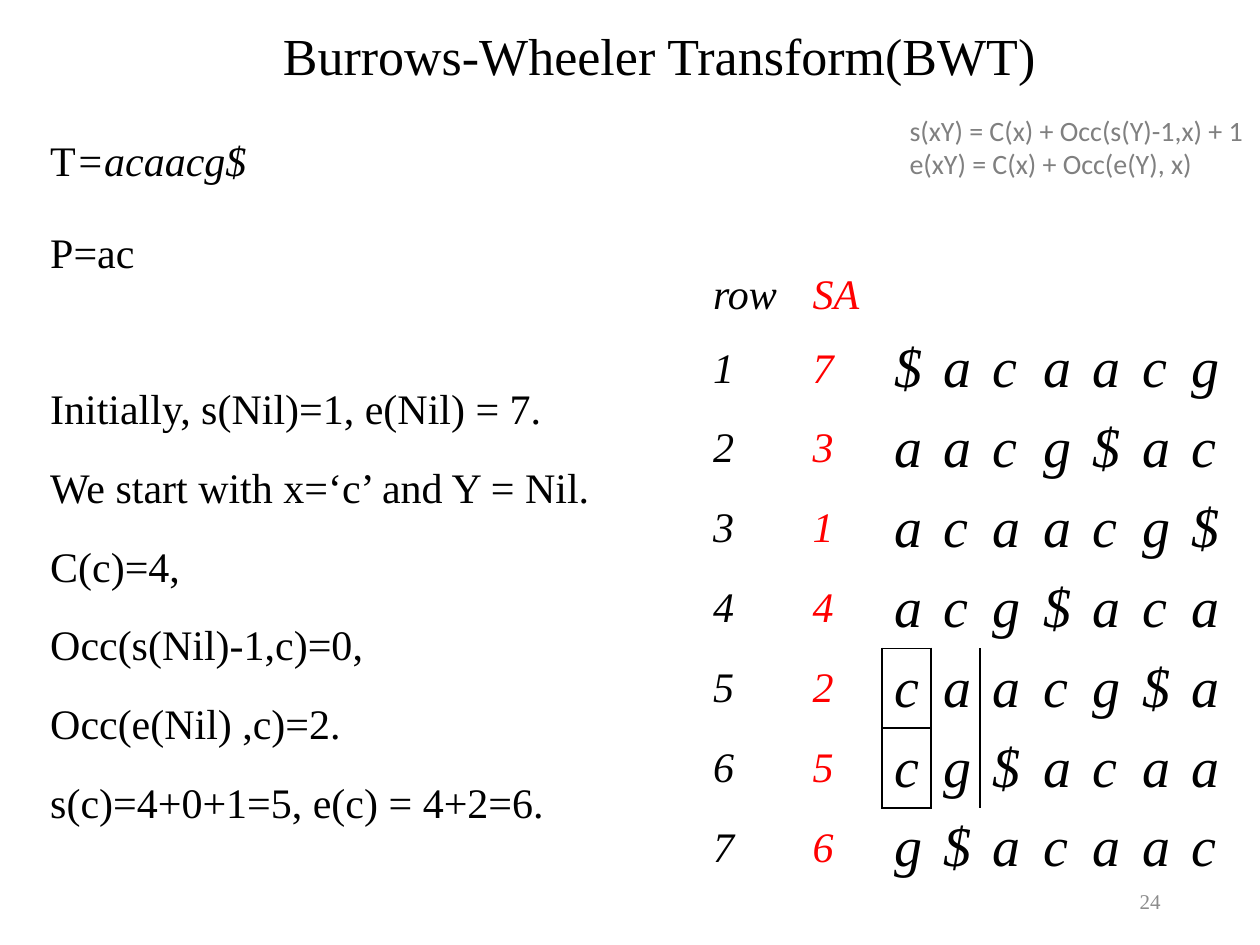
from dataclasses import dataclass

from lxml import etree
from pptx import Presentation
from pptx.dml.color import RGBColor
from pptx.enum.text import MSO_ANCHOR, MSO_AUTO_SIZE, PP_ALIGN
from pptx.oxml.ns import qn
from pptx.util import Inches, Pt

TOP, MIDDLE, BOTTOM = MSO_ANCHOR.TOP, MSO_ANCHOR.MIDDLE, MSO_ANCHOR.BOTTOM
CENTER, RIGHT = PP_ALIGN.CENTER, PP_ALIGN.RIGHT
FIT_SHAPE = MSO_AUTO_SIZE.SHAPE_TO_FIT_TEXT
PLAIN_TABLE_STYLE = "{2D5ABB26-0587-4C30-8999-92F81FD0307C}"


@dataclass(frozen=True)
class Theme:
    serif: str = "Times New Roman"
    sans: str = "Calibri"
    ink: str = "000000"
    suffix: str = "FF0000"
    formula: str = "808080"
    muted: str = "8C8C8C"
    title_size: float = 29.7
    body_size: float = 24
    letter_size: float = 32
    formula_size: float = 16
    number_size: float = 12


THEME = Theme()

# Suffix array value and rotation for each row of the sorted matrix
ROTATIONS = [
    (7, "$acaacg"), (3, "aacg$ac"), (1, "acaacg$"), (4, "acg$aca"),
    (2, "caacg$a"), (5, "cg$acaa"), (6, "g$acaac"),
]
MATCH_ROWS = (5, 6)
MATCH_COLUMN = 2

# Text, line spacing and space before in points
STEPS = [
    ("P=ac", 0.9, 27),
    ("Initially, s(Nil)=1, e(Nil) = 7.", 1.5, 45.4),
    ("We start with x=‘c’ and Y = Nil.", 1.5, 1.8),
    ("C(c)=4,", 1.5, 1.8),
    ("Occ(s(Nil)-1,c)=0,", 1.5, 1.8),
    ("Occ(e(Nil) ,c)=2.", 1.5, 1.8),
    ("s(c)=4+0+1=5, e(c) = 4+2=6.", 1.5, 1.8),
]


def style(run, size, color=THEME.ink, face=THEME.serif, italic=False):
    run.font.size = Pt(size)
    run.font.name = face
    run.font.italic = italic
    run.font.color.rgb = RGBColor.from_string(color)


def add_frame(slide, box, anchor=TOP, wrap=True):
    frame = slide.shapes.add_textbox(*map(Inches, box)).text_frame
    frame.word_wrap = wrap
    frame.vertical_anchor = anchor
    return frame


def add_title(slide, box):
    frame = add_frame(slide, box, BOTTOM)
    frame.text = "Burrows-Wheeler Transform(BWT)"
    heading = frame.paragraphs[0]
    heading.alignment = CENTER
    heading.line_spacing = 0.9
    style(heading.runs[0], THEME.title_size)


def add_slide_number(slide, box):
    frame = add_frame(slide, box, MIDDLE)
    frame.text = "24"
    number = frame.paragraphs[0]
    number.alignment = RIGHT
    style(number.runs[0], THEME.number_size, THEME.muted)


def add_search_steps(slide, box):
    frame = add_frame(slide, box)
    frame.margin_top = Inches(0.09)
    # Searched text, with its string in italics
    frame.text = "T"
    searched = frame.paragraphs[0]
    searched.line_spacing = 0.9
    style(searched.runs[0], THEME.body_size)
    string = searched.add_run()
    string.text = "=acaacg$"
    style(string, THEME.body_size, italic=True)
    # Pattern and backward search
    for text, spacing, before in STEPS:
        step = frame.add_paragraph()
        step.text = text
        step.line_spacing = spacing
        step.space_before = Pt(before)
        style(step.runs[0], THEME.body_size)


def add_formulas(slide, box):
    frame = add_frame(slide, box, wrap=False)
    frame.auto_size = FIT_SHAPE
    frame.text = "s(xY) = C(x) + Occ(s(Y)-1,x) + 1\ne(xY) = C(x) + Occ(e(Y), x)"
    for formula in frame.paragraphs:
        style(formula.runs[0], THEME.formula_size, THEME.formula, THEME.sans)


def add_border(cell, side):
    properties = cell._tc.get_or_add_tcPr()
    line = etree.SubElement(properties, qn(f"a:ln{side}"), w=str(Pt(1)))
    fill = etree.SubElement(line, qn("a:solidFill"))
    etree.SubElement(fill, qn("a:srgbClr"), val=THEME.ink)


def outline_matches(table):
    """Frame the matching cells, setting each edge on both cells that share it."""
    first, last, column = MATCH_ROWS[0], MATCH_ROWS[-1], MATCH_COLUMN
    for row in MATCH_ROWS:
        add_border(table.cell(row, column - 1), "R")
        add_border(table.cell(row, column), "L")
        add_border(table.cell(row, column), "R")
        add_border(table.cell(row, column + 1), "L")
    add_border(table.cell(first - 1, column), "B")
    add_border(table.cell(first, column), "T")
    add_border(table.cell(last, column), "B")
    add_border(table.cell(last + 1, column), "T")


def add_rotation_table(slide, box):
    rows = [["row", "SA"] + [""] * 7]
    for index, (suffix, rotation) in enumerate(ROTATIONS, 1):
        rows.append([str(index), str(suffix), *rotation])
    table = slide.shapes.add_table(
        len(rows), len(rows[0]), *map(Inches, box)).table
    table.first_row = table.horz_banding = False
    table._tbl.tblPr.find(qn("a:tableStyleId")).text = PLAIN_TABLE_STYLE

    # Grid
    widths = [0.79, 0.65, 0.39, 0.39, 0.4, 0.39, 0.4, 0.39, 0.4]
    for column, width in zip(table.columns, widths):
        column.width = Inches(width)
    for index, row in enumerate(table.rows):
        row.height = Inches(0.63 if index else 0.48)
    outline_matches(table)

    # Cells
    for r, texts in enumerate(rows):
        for c, text in enumerate(texts):
            cell = table.cell(r, c)
            cell.fill.background()
            cell.vertical_anchor = MIDDLE if r else TOP
            if text:
                cell.text = text
                style(cell.text_frame.paragraphs[0].runs[0],
                      THEME.body_size if c < 2 else THEME.letter_size,
                      THEME.suffix if c == 1 else THEME.ink, italic=True)


def main():
    deck = Presentation()
    deck.slide_width, deck.slide_height = Inches(10), Inches(7.5)
    slide = deck.slides.add_slide(deck.slide_layouts[6])
    add_title(slide, (1.96, 0, 6.55, 0.74))
    add_slide_number(slide, (7.06, 6.95, 2.25, 0.4))
    add_search_steps(slide, (0.3, 1.02, 9.48, 6.48))
    add_rotation_table(slide, (5.56, 2.11, 4.2, 4.89))
    add_formulas(slide, (7.12, 0.85, 2.88, 0.98))
    deck.save("out.pptx")


if __name__ == "__main__":
    main()
